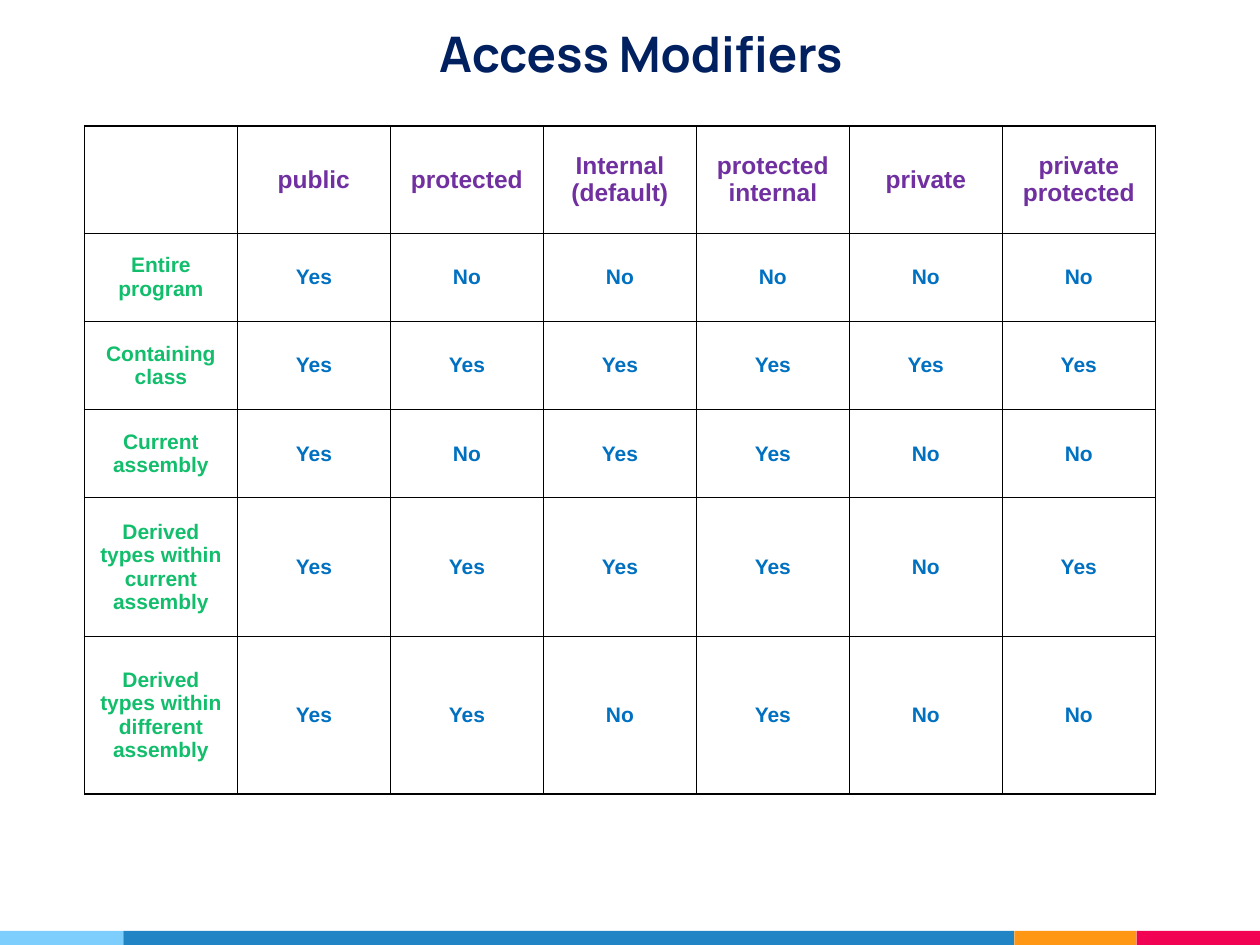
"""Build the access modifiers slide."""
from lxml.etree import SubElement
from pptx import Presentation
from pptx.dml.color import RGBColor
from pptx.enum.shapes import MSO_SHAPE as Shape
from pptx.enum.text import MSO_ANCHOR as Anchor, PP_ALIGN as Align
from pptx.oxml.ns import qn
from pptx.util import Inches, Pt

W, H = 10, 7.5
COLORS = {
    "title": "002060", "head": "7030A0", "label": "12BE6C", "value": "0070C0",
    "border": "000000", "sky": "7ECEFD", "blue": "2185C5",
    "orange": "FF9715", "red": "F20253",
}
STRIPES = [("sky", 0.098), ("blue", 0.707), ("orange", 0.097), ("red", 0.098)]
TITLE_FONT = {"name": "Manrope", "size": Pt(28), "bold": True}
HEAD_FONT = {"name": "Arial", "size": Pt(14), "bold": True}
BODY_FONT = {**HEAD_FONT, "size": Pt(12)}
ROW_HEIGHTS = [0.85, 0.66, 0.66, 0.66, 1.08, 1.25]
ROWS = [
    ["", "public", "protected", "Internal (default)", "protected internal",
     "private", "private protected"],
    ["Entire program", "Yes", "No", "No", "No", "No", "No"],
    ["Containing class", "Yes", "Yes", "Yes", "Yes", "Yes", "Yes"],
    ["Current assembly", "Yes", "No", "Yes", "Yes", "No", "No"],
    ["Derived types within current assembly", "Yes", "Yes", "Yes", "Yes", "No", "Yes"],
    ["Derived types within different assembly", "Yes", "Yes", "No", "Yes", "No", "No"],
]


def rgb(key):
    """Return the named colour."""
    return RGBColor.from_string(COLORS[key])


def set_attrs(obj, values):
    """Set each attribute of obj from a dict."""
    for name, value in values.items():
        setattr(obj, name, value)


def write(tf, text, font, color):
    """Write one centred run into a text frame."""
    p = tf.paragraphs[0]
    p.alignment = Align.CENTER
    if text:
        r = p.add_run()
        r.text = text
        set_attrs(r.font, font)
        r.font.color.rgb = rgb(color)


def margins(x, y):
    """Return the four margins for horizontal and vertical insets."""
    return {"margin_left": Inches(x), "margin_right": Inches(x),
            "margin_top": Inches(y), "margin_bottom": Inches(y)}


def add_stripes(s):
    """Draw the coloured band along the bottom edge."""
    left, height = 0, 0.015 * H
    for color, share in STRIPES:
        sp = s.shapes.add_shape(Shape.RECTANGLE, Inches(left * W), Inches(H - height),
                                Inches(share * W), Inches(height))
        sp.shadow.inherit = False
        sp.fill.solid()
        sp.fill.fore_color.rgb = rgb(color)
        sp.line.fill.background()
        left += share


def add_title(s, text):
    """Add the slide title."""
    sp = s.shapes.add_textbox(Inches(0.05 * W), Inches(0.07),
                              Inches(0.917 * W), Inches(0.68))
    tf = sp.text_frame
    set_attrs(tf, {"word_wrap": True, "vertical_anchor": Anchor.BOTTOM,
                   **margins(0.1, 0.1)})
    write(tf, text, TITLE_FONT, "title")


def add_borders(cell):
    """Put a thin line on each side of a cell."""
    tc_pr = cell._tc.get_or_add_tcPr()
    for side in ("lnL", "lnR", "lnT", "lnB"):
        ln = SubElement(tc_pr, qn(f"a:{side}"), w=str(Pt(0.75)))
        fill = SubElement(ln, qn("a:solidFill"))
        SubElement(fill, qn("a:srgbClr"), val=COLORS["border"])


def add_matrix(s, rows, heights):
    """Add the table of modifiers against places of access."""
    cols, width = len(rows[0]), 0.85 * W
    table = s.shapes.add_table(len(rows), cols, Inches(0.067 * W), Inches(1),
                               Inches(width), Inches(sum(heights))).table
    set_attrs(table, {"first_row": False, "horz_banding": False})
    for col in table.columns:
        col.width = Inches(width / cols)
    for i, (row, height) in enumerate(zip(rows, heights)):
        table.rows[i].height = Inches(height)
        font, inset = (BODY_FONT, 0.15) if i else (HEAD_FONT, 0.1)
        for j, text in enumerate(row):
            cell = table.cell(i, j)
            set_attrs(cell, {"vertical_anchor": Anchor.MIDDLE, **margins(0.1, inset)})
            add_borders(cell)
            cell.fill.background()
            color = "head" if i == 0 else "value" if j else "label"
            write(cell.text_frame, text, font, color)


def main():
    """Build and save the slide."""
    prs = Presentation()
    set_attrs(prs, {"slide_width": Inches(W), "slide_height": Inches(H)})
    s = prs.slides.add_slide(prs.slide_layouts[6])
    add_stripes(s)
    add_title(s, "Access Modifiers")
    add_matrix(s, ROWS, ROW_HEIGHTS)
    prs.save("out.pptx")


if __name__ == "__main__":
    main()
